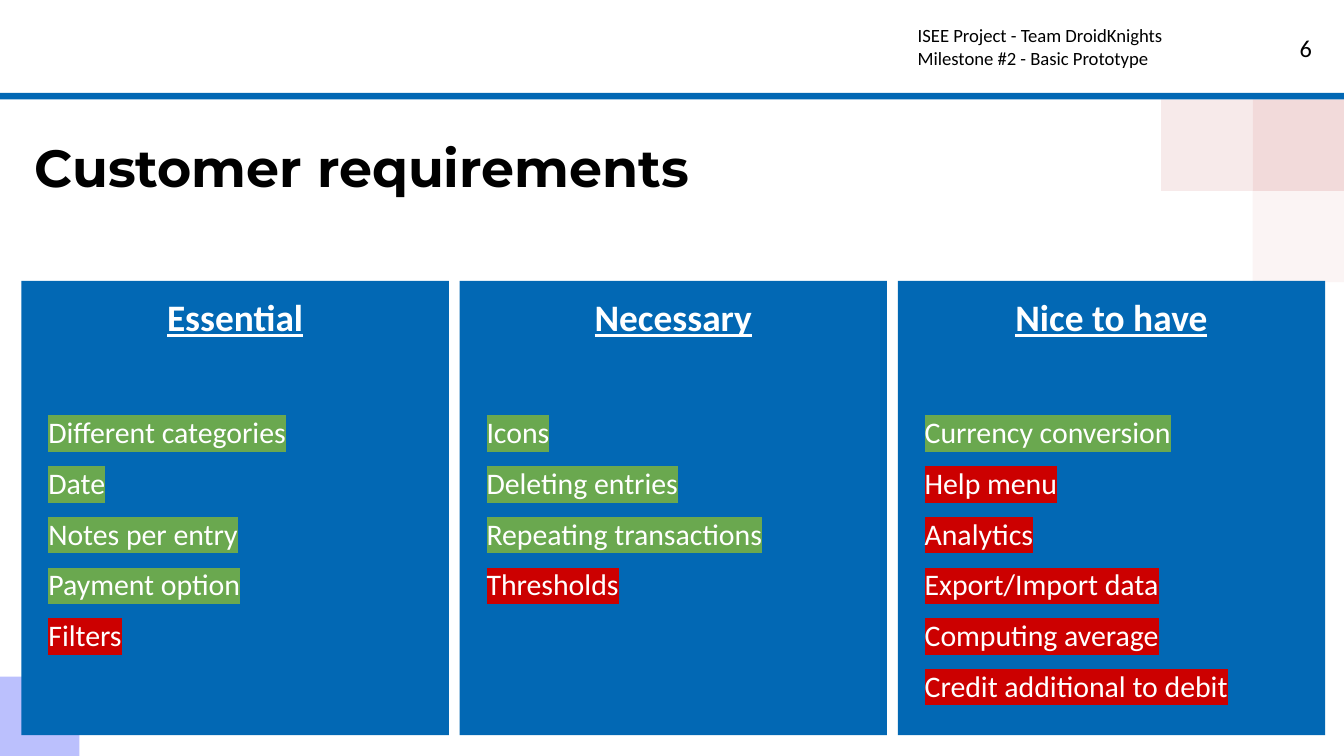
from lxml import etree
from pptx import Presentation, util as u
from pptx.dml.color import RGBColor
from pptx.enum import shapes, text
from pptx.oxml.ns import qn

BLUE = RGBColor(0x02, 0x68, 0xB4)
PINK = RGBColor(0xF2, 0xDA, 0xDA)
VIOLET = RGBColor(0x26, 0x34, 0xF9)
WHITE = RGBColor(0xFF, 0xFF, 0xFF)
BLACK = RGBColor(0, 0, 0)
DONE = RGBColor(0x6A, 0xA8, 0x4F)
OPEN = RGBColor(0xCC, 0, 0)

wide = 10
high = wide * 9 / 16
deck = Presentation()
deck.slide_width, deck.slide_height = u.Inches(wide), u.Inches(high)
slide = deck.slides.add_slide(deck.slide_layouts[4])
tree = slide.shapes._spTree


def prepare(box, at, side=0.1, anchor=text.MSO_ANCHOR.TOP):
    box.left, box.top, box.width, box.height = map(u.Inches, at)
    settings = {"margin_left": u.Inches(side), "margin_right": u.Inches(side),
                "margin_top": u.Inches(0.1), "margin_bottom": u.Inches(0.1),
                "word_wrap": True, "auto_size": text.MSO_AUTO_SIZE.NONE,
                "vertical_anchor": anchor}
    for key, value in settings.items():
        setattr(box.text_frame, key, value)
    return box.text_frame


def write(paragraph, words, color, before=0, after=0,
          align=text.PP_ALIGN.LEFT, **look):
    spacing = {"alignment": align, "space_before": u.Pt(before),
               "space_after": u.Pt(after), "line_spacing": 1.0}
    for key, value in spacing.items():
        setattr(paragraph, key, value)
    run = paragraph.add_run()
    run.text = words
    run.font.color.rgb = color
    for key, value in {"name": "Calibri", "bold": False, **look}.items():
        setattr(run.font, key, value)
    return run


corner = 0.68
accent = 0.59
band_bottom = 0.74
decorations = [
    (wide - corner, band_bottom, corner, corner, PINK, 100),
    (wide - corner, band_bottom + corner, corner, corner, PINK, 28),
    (wide - 2 * corner, band_bottom, corner, corner, PINK, 55),
    (0, high - accent, accent, accent, VIOLET, 31),
    (0, 0, wide, 0.69, WHITE, 100),
    (0, 0.69, wide, 0.05, BLUE, 100),
]
for layer, (*at, color, opacity) in enumerate(decorations):
    block = slide.shapes.add_shape(shapes.MSO_SHAPE.RECTANGLE, *map(u.Inches, at))
    block.shadow.inherit = False
    block.line.fill.background()
    block.fill.solid()
    block.fill.fore_color.rgb = color
    if opacity < 100:
        tint = block._element.spPr.find(qn("a:solidFill"))[0]
        etree.SubElement(tint, qn("a:alpha"), val=str(opacity * 1000))
    tree.insert(2 + layer, block._element)

heading = prepare(slide.shapes.title, (0.16, 0.91, 8.44, 0.63))
write(heading.paragraphs[0], "Customer requirements", BLACK,
      name="Montserrat", size=u.Pt(28), bold=True)

requirements = [
    ("Essential",
     ["Different categories", "Date", "Notes per entry", "Payment option"],
     ["Filters"]),
    ("Necessary",
     ["Icons", "Deleting entries", "Repeating transactions"],
     ["Thresholds"]),
    ("Nice to have",
     ["Currency conversion"],
     ["Help menu", "Analytics", "Export/Import data", "Computing average",
      "Credit additional to debit"]),
]
column_step = 3.26
for column, (priority, finished, pending) in enumerate(requirements):
    panel = slide.placeholders[column + 1]
    panel.fill.solid()
    panel.fill.fore_color.rgb = BLUE
    frame = prepare(panel, (0.16 + column * column_step, 2.09, 3.18, 3.38), side=0.2)
    write(frame.paragraphs[0], priority, WHITE, align=text.PP_ALIGN.CENTER,
          size=u.Pt(20), bold=True, underline=True)
    items = [(item, DONE) for item in finished] + [(item, OPEN) for item in pending]
    for row, (item, status) in enumerate(items):
        run = write(frame.add_paragraph(), item, WHITE,
                    before=8 if row else 40, size=u.Pt(16))
        marker = etree.Element(qn("a:highlight"))
        etree.SubElement(marker, qn("a:srgbClr"), val=str(status))
        run._r.get_or_add_rPr().find(qn("a:solidFill")).addnext(marker)
    for paragraph in frame.paragraphs:
        properties = paragraph._p.get_or_add_pPr()
        properties.set("marL", "0")
        properties.set("indent", "0")
        etree.SubElement(properties, qn("a:buNone"))

unused = slide.placeholders[4]._element
unused.getparent().remove(unused)

page = prepare(slide.shapes.add_textbox(0, 0, 0, 0), (9.26, 0.14, 0.6, 0.43),
               anchor=text.MSO_ANCHOR.MIDDLE)
write(page.paragraphs[0], "6", BLACK, align=text.PP_ALIGN.RIGHT, size=u.Pt(13))

project = prepare(slide.shapes.add_textbox(0, 0, 0, 0), (6.73, 0.08, 2.71, 0.52))
for line, words in enumerate(["ISEE Project - Team DroidKnights",
                              "Milestone #2 - Basic Prototype"]):
    paragraph = project.add_paragraph() if line else project.paragraphs[0]
    write(paragraph, words, BLACK, size=u.Pt(10))

deck.save("out.pptx")
